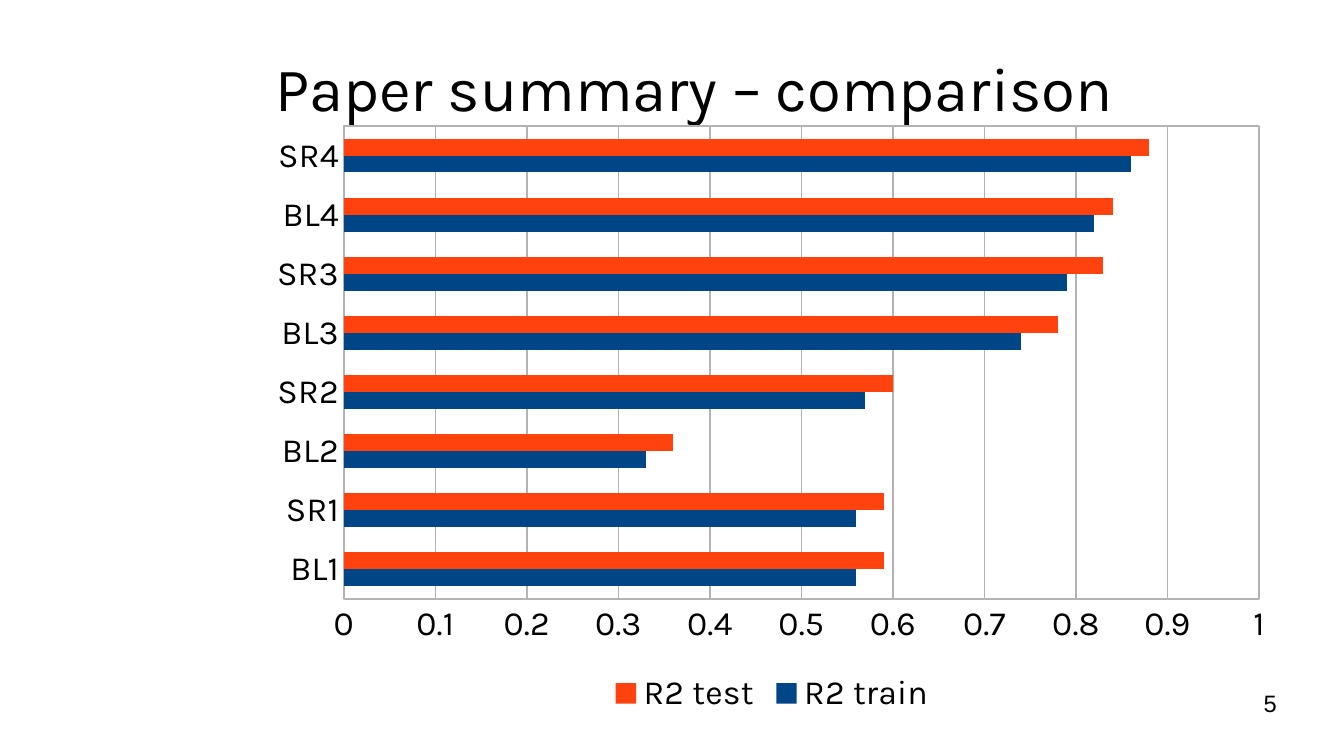
import pptx
import pptx.chart.data
import pptx.dml.color
import pptx.enum.chart
import pptx.enum.text
import pptx.oxml
import pptx.oxml.ns
import pptx.util

WIDTH, HEIGHT = 11.02, 6.2
COLORS = {"text": "000000", "grid": "B3B3B3", "train": "004586", "test": "FF420E"}
FONT = "Karla"

CATEGORIES = ["BL1", "SR1", "BL2", "SR2", "BL3", "SR3", "BL4", "SR4"]
SERIES = {
    "train": [0.56, 0.56, 0.33, 0.57, 0.74, 0.79, 0.82, 0.86],
    "test": [0.59, 0.59, 0.36, 0.6, 0.78, 0.83, 0.84, 0.88],
}

# Boxes as shares of the slide: left, top, width, height
TITLE_BOX = (0.196, 0.039, 0.804, 0.165)
CHART_BOX = (0.1915, 0.1516, 0.766, 0.8016)
NUMBER_BOX = (0.717, 0.911, 0.233, 0.07)

# Plot area as shares of the chart
PLOT_SHARES = {"x": 0.084, "y": 0.019, "w": 0.889, "h": 0.78}


def place(box):
    return [pptx.util.Inches(share * length)
            for share, length in zip(box, (WIDTH, HEIGHT, WIDTH, HEIGHT))]


def rgb(name):
    return pptx.dml.color.RGBColor.from_string(COLORS[name])


def set_font(font, size, name=FONT):
    font.name = name
    font.size = pptx.util.Pt(size)
    font.bold = False
    font.color.rgb = rgb("text")


def set_line(line):
    line.color.rgb = rgb("grid")
    line.width = pptx.util.Pt(1)


def add_text(slide, box, text, size, font_name=FONT):
    frame = slide.shapes.add_textbox(*place(box)).text_frame
    frame.word_wrap = True
    paragraph = frame.paragraphs[0]
    paragraph.text = text
    set_font(paragraph.font, size, font_name)
    return frame, paragraph


def add_title(slide, box):
    frame, paragraph = add_text(slide, box, "Paper summary – comparison", 36.4)
    frame.vertical_anchor = pptx.enum.text.MSO_ANCHOR.MIDDLE
    paragraph.line_spacing = 0.9


def add_page_number(slide, box):
    frame, paragraph = add_text(slide, box, "5", 14, "Arial")
    frame.margin_left = frame.margin_right = 0
    frame.margin_top = frame.margin_bottom = 0
    paragraph.alignment = pptx.enum.text.PP_ALIGN.RIGHT


def frame_plot_area(chart):
    """Fix the inner plot area and draw its border."""
    plot_area = chart._chartSpace.chart.plotArea
    namespaces = pptx.oxml.ns.nsdecls("c", "a")
    for layout in plot_area.findall(pptx.oxml.ns.qn("c:layout")):
        plot_area.remove(layout)
    shares = "".join(f'<c:{key} val="{share}"/>' for key, share in PLOT_SHARES.items())
    plot_area.insert(0, pptx.oxml.parse_xml(
        f'<c:layout {namespaces}><c:manualLayout><c:layoutTarget val="inner"/>'
        f'<c:xMode val="edge"/><c:yMode val="edge"/>{shares}</c:manualLayout></c:layout>'))
    plot_area.append(pptx.oxml.parse_xml(
        f'<c:spPr {namespaces}><a:noFill/><a:ln w="12700"><a:solidFill>'
        f'<a:srgbClr val="{COLORS["grid"]}"/></a:solidFill></a:ln></c:spPr>'))


def add_comparison_chart(slide, box):
    data = pptx.chart.data.CategoryChartData()
    data.categories = CATEGORIES
    for name, values in SERIES.items():
        data.add_series(f"R2 {name}", values)
    chart = slide.shapes.add_chart(
        pptx.enum.chart.XL_CHART_TYPE.BAR_CLUSTERED, *place(box), data).chart
    chart.has_title = False
    set_font(chart.font, 10)

    # Bars
    plot = chart.plots[0]
    plot.vary_by_categories = False
    plot.gap_width = 150
    plot.overlap = 0
    for series, name in zip(plot.series, SERIES):
        series.format.fill.solid()
        series.format.fill.fore_color.rgb = rgb(name)

    # Axes and grid
    for axis in (chart.category_axis, chart.value_axis):
        axis.major_tick_mark = pptx.enum.chart.XL_TICK_MARK.NONE
        axis.minor_tick_mark = pptx.enum.chart.XL_TICK_MARK.NONE
        set_font(axis.tick_labels.font, 20)
        set_line(axis.format.line)
    value_axis = chart.value_axis
    value_axis.minimum_scale, value_axis.maximum_scale = 0, 1
    value_axis.major_unit = 0.1
    value_axis.tick_labels.number_format = "General"
    value_axis.tick_labels.number_format_is_linked = False
    value_axis.has_major_gridlines = True
    set_line(value_axis.major_gridlines.format.line)
    frame_plot_area(chart)

    # Legend
    chart.has_legend = True
    chart.legend.position = pptx.enum.chart.XL_LEGEND_POSITION.BOTTOM
    chart.legend.include_in_layout = False
    set_font(chart.legend.font, 20)


def main():
    presentation = pptx.Presentation()
    presentation.slide_width = pptx.util.Inches(WIDTH)
    presentation.slide_height = pptx.util.Inches(HEIGHT)
    slide = presentation.slides.add_slide(presentation.slide_layouts[6])
    add_page_number(slide, NUMBER_BOX)
    add_title(slide, TITLE_BOX)
    add_comparison_chart(slide, CHART_BOX)
    presentation.save("out.pptx")


if __name__ == "__main__":
    main()
